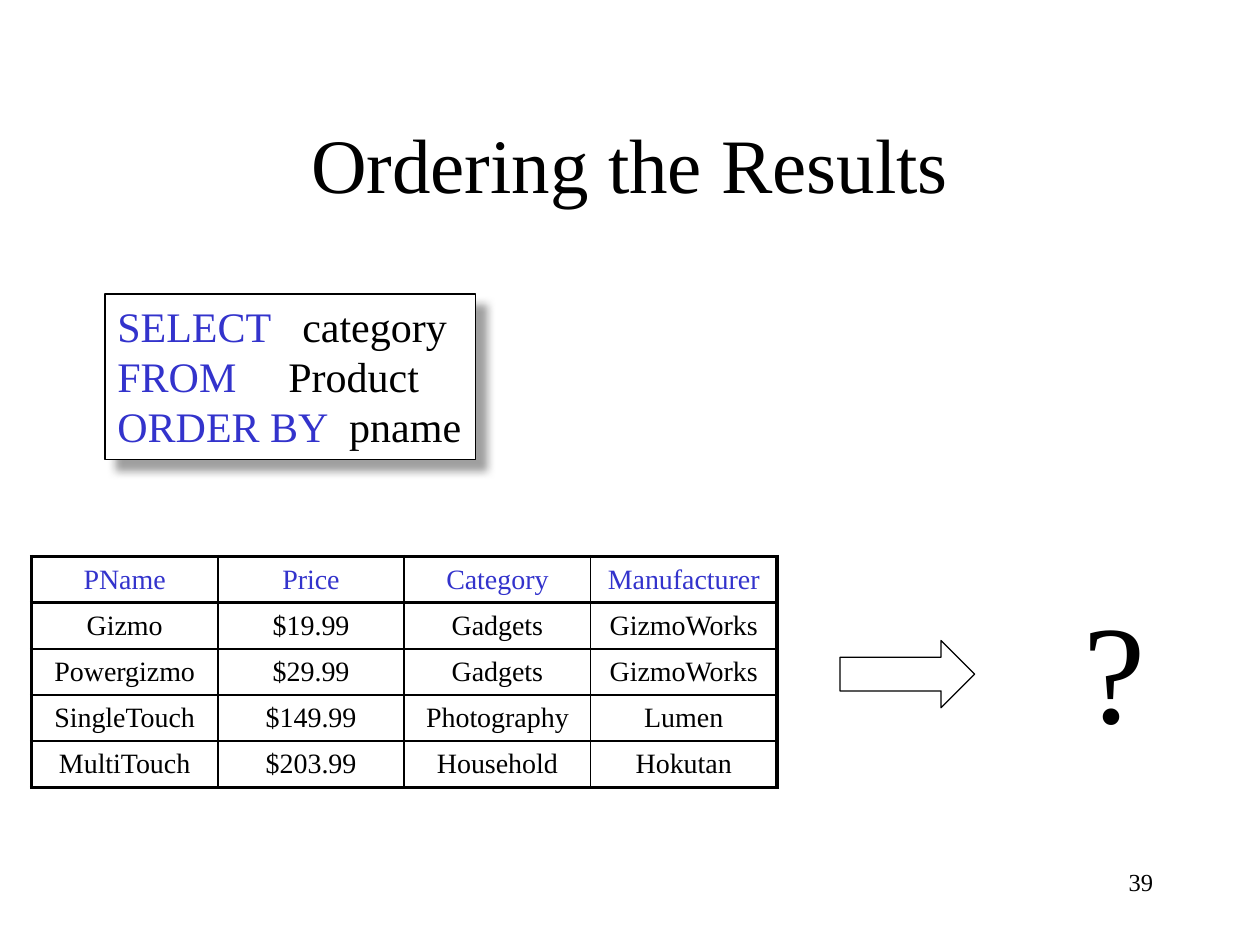
import pptx
import pptx.util
import pptx.dml.color
import pptx.enum.shapes
import pptx.enum.text
import pptx.oxml
import pptx.oxml.ns

Pt = pptx.util.Pt
RGB = pptx.dml.color.RGBColor
Align = pptx.enum.text.PP_ALIGN
Anchor = pptx.enum.text.MSO_ANCHOR
Shape = pptx.enum.shapes.MSO_SHAPE

BLACK = RGB(0x00, 0x00, 0x00)
WHITE = RGB(0xFF, 0xFF, 0xFF)
BLUE = RGB(0x33, 0x33, 0xCC)
GRAY = RGB(0x80, 0x80, 0x80)
FONT = "Times New Roman"
NS = pptx.oxml.ns.nsdecls("a")


def node(xml):
    return pptx.oxml.parse_xml(xml)


def write(par, text, size=24, color=BLACK, align=None):
    """Add one formatted run to a paragraph."""
    run = par.add_run()
    run.text = text
    run.font.name = FONT
    run.font.size = Pt(size)
    run.font.color.rgb = color
    if align is not None:
        par.alignment = align


class Deck:
    def __init__(self, width, height):
        self.prs = pptx.Presentation()
        self.prs.slide_width = Pt(width)
        self.prs.slide_height = Pt(height)
        self.slide = None

    def title(self, text, *box):
        self.slide = self.prs.slides.add_slide(self.prs.slide_layouts[5])
        head = self.slide.shapes.title
        head.left, head.top, head.width, head.height = map(Pt, box)
        head.text_frame.vertical_anchor = Anchor.MIDDLE
        write(head.text_frame.paragraphs[0], text, size=44, align=Align.CENTER)

    def label(self, text, *box, wrap=True, **style):
        frame = self.slide.shapes.add_textbox(*map(Pt, box)).text_frame
        frame.word_wrap = wrap
        write(frame.paragraphs[0], text, **style)

    def shape(self, kind, *box, fill=None):
        item = self.slide.shapes.add_shape(kind, *map(Pt, box))
        item.shadow.inherit = False
        if fill is None:
            item.fill.background()
        else:
            item.fill.solid()
            item.fill.fore_color.rgb = fill
        item.line.color.rgb = BLACK
        item.line.width = Pt(0.75)
        return item

    def query(self, lines, *box):
        """Shadowed box; each line is keyword, tab stop, operand."""
        item = self.shape(Shape.RECTANGLE, *box, fill=WHITE)
        effect = item._element.spPr.find(pptx.oxml.ns.qn("a:effectLst"))
        effect.append(node(
            f'<a:outerShdw {NS} blurRad="{Pt(5)}" dist="{Pt(8.5)}" '
            f'dir="2700000" algn="tl" rotWithShape="0"><a:srgbClr val="{GRAY}">'
            '<a:alpha val="75000"/></a:srgbClr></a:outerShdw>'))
        frame = item.text_frame
        frame.word_wrap = False
        frame.vertical_anchor = Anchor.TOP
        for i, (key, stop, name) in enumerate(lines):
            par = frame.add_paragraph() if i else frame.paragraphs[0]
            write(par, key, color=BLUE, align=Align.LEFT)
            write(par, "\t" + name)
            par._p.get_or_add_pPr().append(node(
                f'<a:tabLst {NS}><a:tab pos="{Pt(stop)}" algn="l"/></a:tabLst>'))

    def edge(self, cell, side, width):
        cell._tc.get_or_add_tcPr().append(node(
            f'<a:{side} {NS} w="{Pt(width)}"><a:solidFill>'
            f'<a:srgbClr val="{BLACK}"/></a:solidFill></a:{side}>'))

    def table(self, rows, left, top, wide, high):
        m, n = len(rows), len(rows[0])
        grid = self.slide.shapes.add_table(
            m, n, Pt(left), Pt(top), Pt(wide * n), Pt(high * m)).table
        grid.first_row = grid.horz_banding = False
        for row in grid.rows:
            row.height = Pt(high)
        for r, row in enumerate(rows):
            for c, text in enumerate(row):
                cell = grid.cell(r, c)
                cell.vertical_anchor = Anchor.MIDDLE
                # Heavy frame and header rule, thin inner lines
                heavy = {"lnL": c == 0, "lnR": c == n - 1,
                         "lnT": r < 2, "lnB": r in (0, m - 1)}
                for side, thick in heavy.items():
                    self.edge(cell, side, 2.25 if thick else 1)
                cell.fill.background()
                write(cell.text_frame.paragraphs[0], text, size=16,
                      color=BLACK if r else BLUE, align=Align.CENTER)


def main():
    deck = Deck(720, 540)
    deck.title("Ordering the Results", 54, 48, 612, 90)

    # Query
    deck.query([("SELECT", 105.7, "category"),
                ("FROM", 97.7, "Product"),
                ("ORDER BY", 132.5, "pname")], 60, 168, 211.7, 94.5)

    # Product table
    deck.table([
        ("PName", "Price", "Category", "Manufacturer"),
        ("Gizmo", "$19.99", "Gadgets", "GizmoWorks"),
        ("Powergizmo", "$29.99", "Gadgets", "GizmoWorks"),
        ("SingleTouch", "$149.99", "Photography", "Lumen"),
        ("MultiTouch", "$203.99", "Household", "Hokutan"),
    ], 18, 318, 106.5, 26.4)

    # Arrow to the open answer
    deck.shape(Shape.RIGHT_ARROW, 480, 366, 77, 38.4)
    deck.label("?", 612, 330, 49.7, 103, wrap=False, size=80)

    # Page number
    deck.label("39", 516, 492, 150, 36, size=14, align=Align.RIGHT)

    deck.prs.save("out.pptx")


if __name__ == "__main__":
    main()
